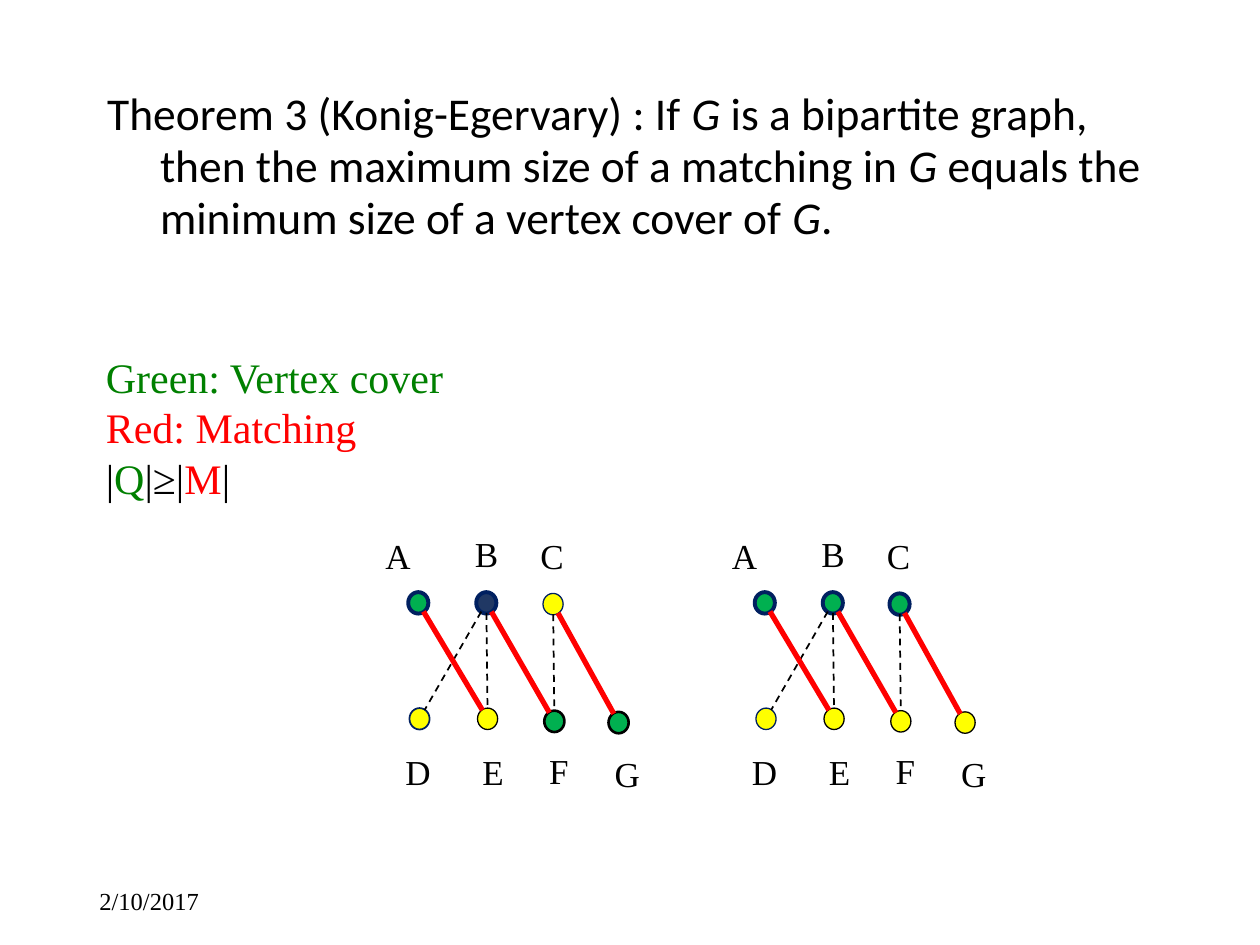
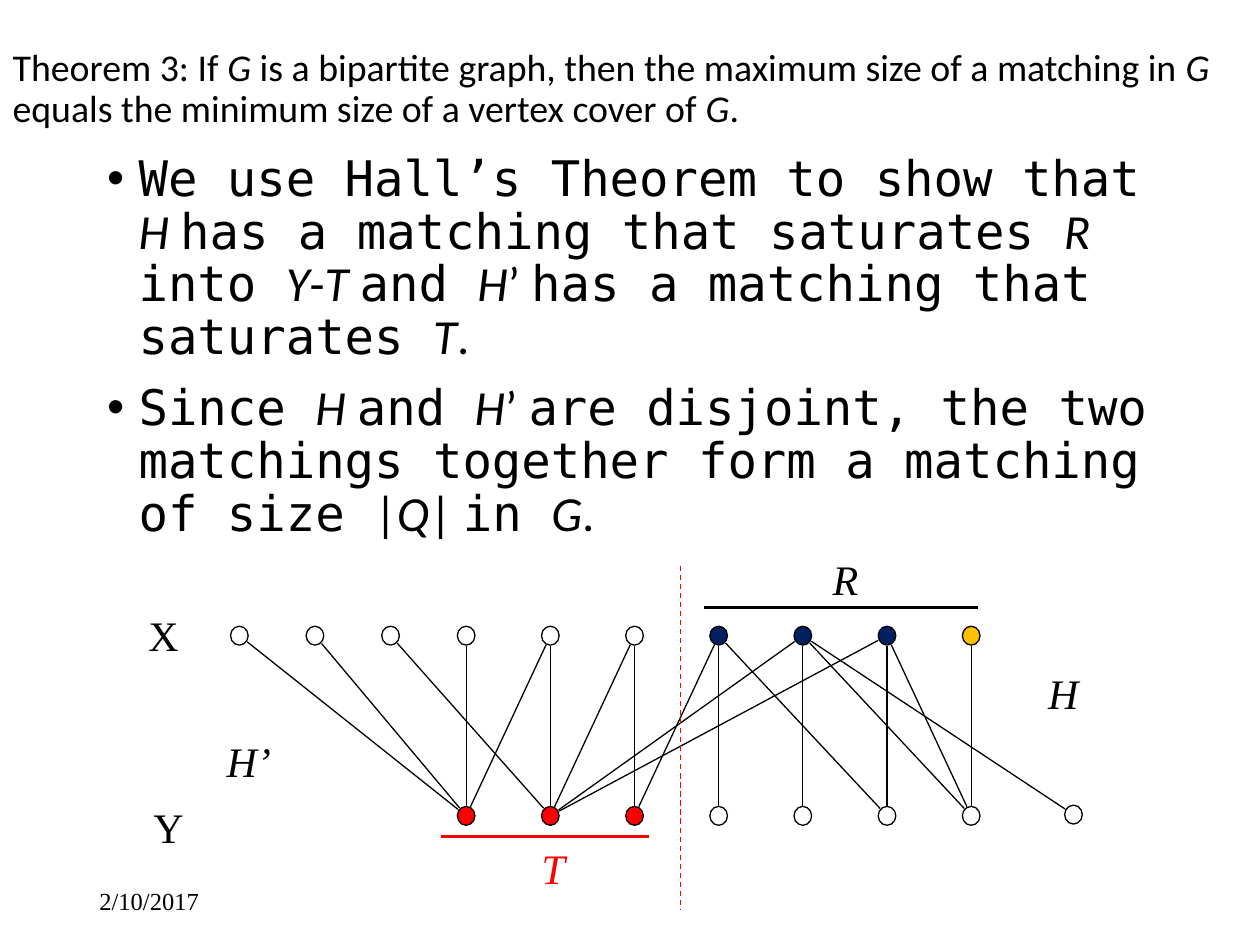
from dataclasses import dataclass
from itertools import cycle
from math import hypot

from lxml.etree import SubElement
from pptx import Presentation
from pptx.dml.color import RGBColor
from pptx.enum.dml import MSO_LINE
from pptx.enum.shapes import MSO_CONNECTOR, MSO_SHAPE
from pptx.enum.text import MSO_ANCHOR, MSO_AUTO_SIZE, PP_ALIGN
from pptx.oxml.ns import qn
from pptx.util import Inches, Pt


@dataclass(frozen=True)
class Theme:
    sans: str = "Calibri"
    mono: str = "DejaVu Sans Mono"
    serif: str = "Times New Roman"
    black: str = "000000"
    white: str = "FFFFFF"
    red: str = "FF0000"
    green: str = "00B050"
    dark_green: str = "008000"
    yellow: str = "FFFF00"
    gold: str = "FFC000"
    navy: str = "002060"
    blue: str = "203864"
    theorem_size: float = 26
    heading_size: float = 21.6
    body_size: float = 28
    legend_size: float = 24
    label_size: float = 20
    date_size: float = 14


def assign(target, values):
    for name, value in values.items():
        setattr(target, name, value)


def alternate(*texts):
    return [(text, {"italic": italic}) for text, italic in zip(texts, cycle((False, True)))]


class SlideWriter:
    def __init__(self, deck, theme):
        self.deck = deck
        self.theme = theme
        self.slide = None

    def start(self, layout):
        self.slide = self.deck.slides.add_slide(self.deck.slide_layouts[layout])
        self.slide.background.fill.solid()
        self.slide.background.fill.fore_color.rgb = RGBColor.from_string(self.theme.white)
        date = {"size": self.theme.date_size, "anchor": MSO_ANCHOR.MIDDLE}
        self.text((0.69, 6.95, 2.25, 0.4), [[("2/10/2017", {})]], **date)

    def fill_text(self, box, area, paragraphs, size, font, anchor=MSO_ANCHOR.TOP,
                  indent=None, layout=None, margins=None):
        assign(box, dict(zip(("left", "top", "width", "height"), map(Inches, area))))
        frame = box.text_frame
        assign(frame, {"word_wrap": True, "auto_size": MSO_AUTO_SIZE.NONE,
                       "vertical_anchor": anchor})
        assign(frame, margins or {})
        for index, spans in enumerate(paragraphs):
            para = frame.add_paragraph() if index else frame.paragraphs[0]
            assign(para, {"alignment": PP_ALIGN.LEFT, **(layout or {})})
            if indent:
                properties = para._p.get_or_add_pPr()
                properties.set("marL", str(Inches(indent)))
                properties.set("indent", str(-Inches(indent)))
            for text, style in spans:
                span = para.add_run()
                span.text = text
                values = {"name": font, "size": Pt(size), "italic": False, **style}
                color = values.pop("color", self.theme.black)
                assign(span.font, values)
                span.font.color.rgb = RGBColor.from_string(color)

    def text(self, area, paragraphs, size, **options):
        box = self.slide.shapes.add_textbox(*map(Inches, area))
        self.fill_text(box, area, paragraphs, size, self.theme.serif, **options)

    def title(self, area, spans, size, spacing, indent=None):
        self.fill_text(self.slide.shapes.title, area, [spans], size, self.theme.sans,
                       MSO_ANCHOR.MIDDLE, indent, {"line_spacing": spacing})

    def body(self, area, paragraphs):
        self.fill_text(self.slide.placeholders[1], area, paragraphs, self.theme.body_size,
                       self.theme.mono, indent=0.25,
                       layout={"line_spacing": 0.9, "space_before": Pt(10)})

    def label(self, left, top, text, size, **style):
        self.text((left, top, 0.56, 0.5), [[(text, style)]], size, margins={"margin_right": 0})

    def vertex(self, left, top, width, height, fill=None, line=None, weight=0.75):
        area = map(Inches, (left, top, width, height))
        shape = self.slide.shapes.add_shape(MSO_SHAPE.OVAL, *area)
        shape.shadow.inherit = False
        if fill:
            shape.fill.solid()
            shape.fill.fore_color.rgb = RGBColor.from_string(fill)
        else:
            shape.fill.background()
        shape.line.color.rgb = RGBColor.from_string(line or self.theme.black)
        shape.line.width = Pt(weight)
        return left + width / 2, top + height / 2

    def line(self, start, end, color=None, weight=0.75, dashed=False):
        ends = map(Inches, (*start, *end))
        connector = self.slide.shapes.add_connector(MSO_CONNECTOR.STRAIGHT, *ends)
        connector.line.color.rgb = RGBColor.from_string(color or self.theme.black)
        connector.line.width = Pt(weight)
        if dashed:
            connector.line.dash_style = MSO_LINE.DASH
        SubElement(connector._element.spPr, qn("a:effectLst"))

    def edge(self, start, end, **style):
        across, down = end[0] - start[0], end[1] - start[1]
        ratio = 0.08 / hypot(across, down)
        step_x, step_y = across * ratio, down * ratio
        self.line((start[0] + step_x, start[1] + step_y),
                  (end[0] - step_x, end[1] - step_y), **style)


theme = Theme()
deck = Presentation()
assign(deck, {"slide_width": Inches(10), "slide_height": Inches(7.5)})
writer = SlideWriter(deck, theme)

writer.start(5)
writer.title((0.75, 0.56, 8.5, 1.53), alternate(
    "Theorem 3 (Konig-Egervary) : If ", "G",
    " is a bipartite graph, then the maximum size of a matching in ", "G",
    " equals the minimum size of a vertex cover of ", "G", ". "),
    theme.theorem_size, 0.95, 0.42)

places = {
    "A": (3.24, 4.7, 2.96, 4.19), "B": (3.78, 4.7, 3.67, 4.18),
    "C": (4.31, 4.71, 4.19, 4.19), "D": (3.25, 5.62, 3.12, 5.91),
    "E": (3.79, 5.62, 3.73, 5.91), "F": (4.32, 5.64, 4.26, 5.9),
    "G": (4.83, 5.65, 4.78, 5.92),
}
covered = (theme.green, theme.navy, 2.25)
plain = (theme.yellow, theme.black, 0.75)
chosen = (theme.green, theme.black, 1.5)
first_styles = {
    "A": covered, "B": (theme.blue, theme.navy, 2.25), "C": (theme.yellow, theme.navy, 0.75),
    "D": (theme.yellow, theme.navy, 1), "E": plain, "F": chosen, "G": chosen,
}
second_styles = {**dict.fromkeys("ABC", covered), **dict.fromkeys("EFG", plain),
                 "D": (theme.yellow, theme.navy, 0.75)}
for shift, styles in ((0, first_styles), (2.75, second_styles)):
    centers = {}
    for name, (left, top, label_left, label_top) in places.items():
        centers[name] = writer.vertex(left + shift, top, 0.16, 0.17, *styles[name])
        writer.label(label_left + shift, label_top, name, theme.label_size)
    for start, end in ("BD", "CF", "BE"):
        writer.edge(centers[start], centers[end], weight=1, dashed=True)
    for start, end in ("CG", "AE", "BF"):
        writer.edge(centers[start], centers[end], color=theme.red, weight=3)

cover, matching = {"color": theme.dark_green}, {"color": theme.red}
writer.text((0.84, 2.79, 2.72, 1.21), [
    [("Green: Vertex cover", cover)],
    [("Red: Matching", matching)],
    [("|", {}), ("Q", cover), ("|≥|", {}), ("M", matching), ("|", {})],
], theme.legend_size, margins=dict.fromkeys(
    ("margin_left", "margin_top", "margin_right", "margin_bottom"), 0))

writer.start(1)
writer.title((0, 0.33, 10, 0.77), alternate(
    "Theorem 3: If ", "G",
    " is a bipartite graph, then the maximum size of a matching in ", "G",
    " equals the minimum size of a vertex cover of ", "G", "."),
    theme.heading_size, 0.9)
words = {}
upright = {"name": theme.sans}
symbol = {"name": theme.sans, "italic": True}
writer.body((0.75, 1.17, 8.5, 3.05), [
    [("We use Hall’s Theorem to show that ", words), ("H ", symbol),
     ("has a matching that saturates ", words), ("R ", symbol), ("into ", words),
     ("Y", symbol), ("-", upright), ("T ", symbol), ("and ", words), ("H", symbol),
     ("’ ", upright), ("has a matching that saturates ", words), ("T", symbol),
     (".", upright)],
    [("Since ", words), ("H ", symbol), ("and ", words), ("H", symbol), ("’ ", upright),
     ("are disjoint, the two matchings together form a matching of size ", words),
     ("|", upright), ("Q", symbol), ("| ", upright), ("in ", words), ("G", symbol),
     (". ", upright)],
])

columns = [3.63 + 0.668 * index for index in range(7)]
upper_lefts = [1.83, 2.43, 3.03, *columns]
upper_fills = [None] * 6 + [theme.navy] * 3 + [theme.gold]
lower_fills = [theme.red] * 3 + [None] * 4
upper = [writer.vertex(left, 4.97, 0.14, 0.15, fill)
         for left, fill in zip(upper_lefts, upper_fills)]
lower = [writer.vertex(left, 6.4, 0.14, 0.15, fill)
         for left, fill in zip(columns, lower_fills)]
lower.append(writer.vertex(8.45, 6.39, 0.14, 0.15))
verticals = [(index + 3, index) for index in range(7)]
slanted = [(0, 0), (1, 0), (2, 1), (4, 0), (5, 1), (6, 2), (8, 6), (7, 6), (6, 5),
           (7, 7), (8, 1), (7, 1)]
for top, bottom in verticals + slanted:
    writer.edge(upper[top], lower[bottom])

writer.line((5.4, 4.49), (5.4, 7.22), theme.red, dashed=True)
writer.line((3.5, 6.64), (5.15, 6.64), theme.red, 1.5)
writer.line((5.59, 4.82), (7.76, 4.82), weight=1.5)
for left, top, text, style in (
    (4.2, 6.64, "T", {"italic": True, "color": theme.red}),
    (6.51, 4.34, "R", {"italic": True}),
    (8.22, 5.25, "H", {"italic": True}),
    (1.7, 5.79, "H’", {"italic": True}),
    (1.08, 4.79, "X", {}),
    (1.12, 6.31, "Y", {}),
):
    writer.label(left, top, text, theme.legend_size, **style)

deck.save("out.pptx")
